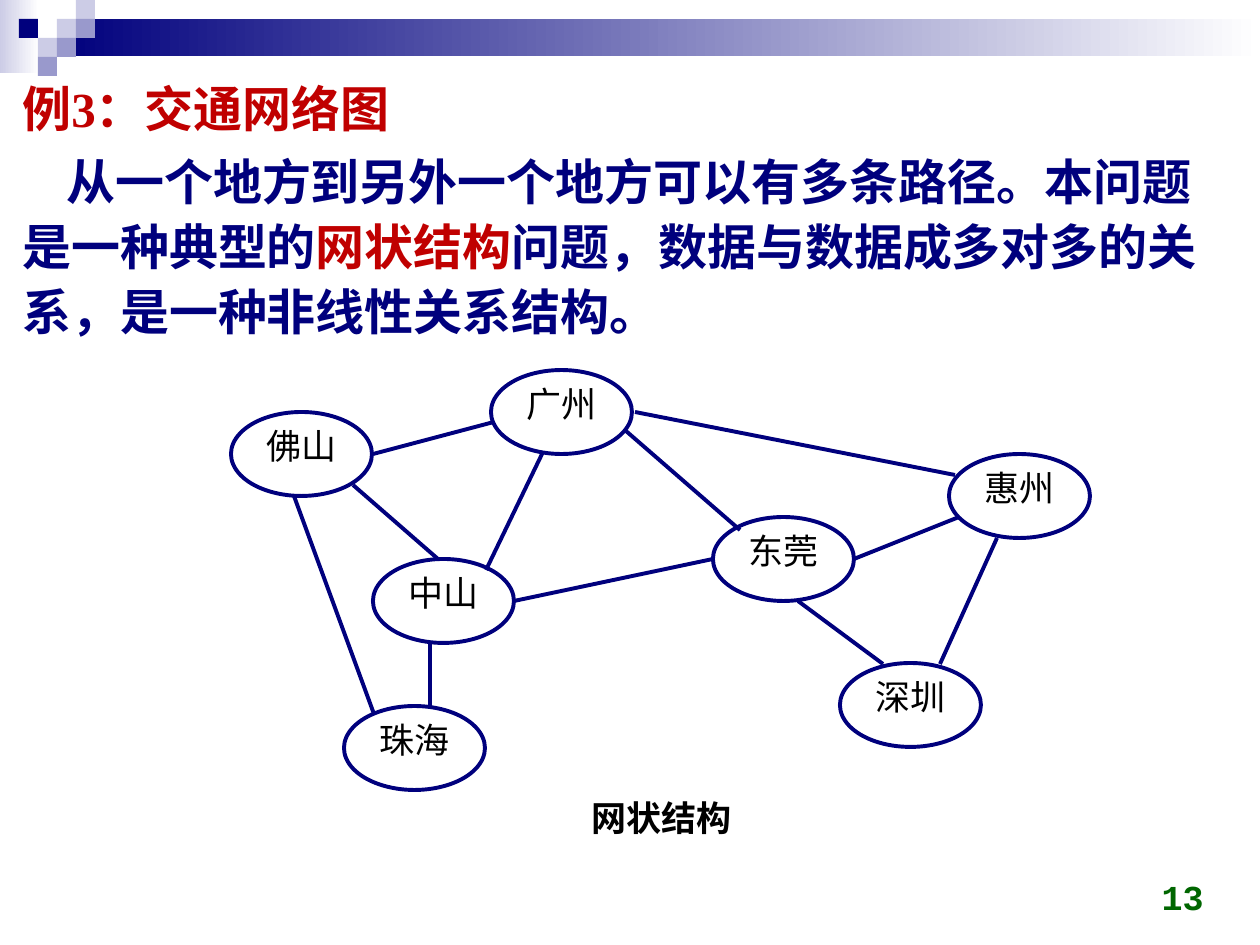
from lxml.etree import SubElement
from pptx import Presentation
from pptx.dml.color import RGBColor
from pptx.enum.shapes import MSO_CONNECTOR, MSO_SHAPE
from pptx.enum.text import MSO_ANCHOR, PP_ALIGN
from pptx.oxml.ns import qn
from pptx.util import Emu, Pt

EMU_PER_PX = 914400 / 126
NAVY, RED, GREEN = "00007D", "C00000", "006600"
LAVENDER, VIOLET = "CCCCE6", "9999CC"
BLACK, WHITE = "000000", "FFFFFF"
CJK_FONT = "Noto Sans CJK SC"


def px(length):
    return Emu(round(length * EMU_PER_PX))


def rgb(value):
    return RGBColor.from_string(value)


class SlideBuilder:
    line_width = Pt(2.25)

    def __init__(self, slide):
        self.slide = slide

    def style_run(self, run, size, font, color, bold=False):
        run.font.size = Pt(size)
        run.font.name = font
        run.font.bold = bold
        run.font.color.rgb = rgb(color)
        SubElement(run.font._element, qn("a:ea")).set("typeface", CJK_FONT)

    def shape(self, kind, box, fill=None, line=None):
        shape = self.slide.shapes.add_shape(kind, *map(px, box))
        shape.shadow.inherit = False
        if fill is None:
            shape.fill.background()
        elif isinstance(fill, tuple):
            shape.fill.gradient()
            shape.fill.gradient_angle = 0
            for stop, color in zip(shape.fill.gradient_stops, fill):
                stop.color.rgb = rgb(color)
        else:
            shape.fill.solid()
            shape.fill.fore_color.rgb = rgb(fill)
        if line is None:
            shape.line.fill.background()
        else:
            shape.line.color.rgb = rgb(line)
            shape.line.width = self.line_width
        return shape

    def label(self, shape, text, font, color=BLACK, bold=False,
              align=PP_ALIGN.CENTER, anchor=MSO_ANCHOR.MIDDLE):
        frame = shape.text_frame
        frame.word_wrap = True
        frame.vertical_anchor = anchor
        frame.text = text
        frame.paragraphs[0].alignment = align
        self.style_run(frame.paragraphs[0].runs[0], 20, font, color, bold)

    def city(self, name, left, top):
        ellipse = self.shape(MSO_SHAPE.OVAL, (left, top, 141, 84), line=NAVY)
        frame = ellipse.text_frame
        frame.margin_left = frame.margin_right = 0
        frame.margin_top = frame.margin_bottom = 0
        self.label(ellipse, name, "Arial", anchor=MSO_ANCHOR.TOP)

    def road(self, *ends):
        road = self.slide.shapes.add_connector(
            MSO_CONNECTOR.STRAIGHT, *map(px, ends))
        road.line.color.rgb = rgb(NAVY)
        road.line.width = self.line_width
        SubElement(road._element.spPr, qn("a:effectLst"))

    def text_box(self, box):
        text_box = self.slide.shapes.add_textbox(*map(px, box))
        text_box.text_frame.word_wrap = True
        return text_box

    def passage(self, box, paragraphs):
        """Each paragraph is (first-line indent, [(text, color), ...])."""
        frame = self.text_box(box).text_frame
        for index, (indent, pieces) in enumerate(paragraphs):
            paragraph = frame.add_paragraph() if index else frame.paragraphs[0]
            paragraph.line_spacing = 1.1
            paragraph.space_before = Pt(5.2)
            properties = paragraph._p.get_or_add_pPr()
            properties.set("marL", "0")
            properties.set("indent", str(px(indent)))
            for text, color in pieces:
                run = paragraph.add_run()
                run.text = text
                self.style_run(run, 28, "Times New Roman", color, True)


def main():
    presentation = Presentation()
    presentation.slide_width = px(1260)
    presentation.slide_height = px(945)
    builder = SlideBuilder(
        presentation.slides.add_slide(presentation.slide_layouts[6]))

    # Header band and its mosaic
    builder.shape(MSO_SHAPE.RECTANGLE, (0, 0, 39, 73), (LAVENDER, WHITE))
    builder.shape(MSO_SHAPE.RECTANGLE, (57, 19, 1203, 37), (NAVY, WHITE))
    tile = 19
    mosaic = [(3, 1, LAVENDER), (4, 0, LAVENDER), (4, 1, VIOLET),
              (2, 2, LAVENDER), (1, 1, NAVY), (3, 2, VIOLET), (2, 3, VIOLET)]
    for column, row, color in mosaic:
        builder.shape(MSO_SHAPE.RECTANGLE,
                      (column * tile, row * tile, tile, tile), color)

    # Heading and explanation
    builder.passage((10, 66, 1207, 297), [
        (0, [("例3：交通网络图", RED)]),
        (44, [("从一个地方到另外一个地方可以有多条路径。本问题是一种典型的", NAVY),
              ("网状结构", RED),
              ("问题，数据与数据成多对多的关系，是一种非线性关系结构。", NAVY)]),
    ])

    # Cities
    cities = {"佛山": (231, 412), "惠州": (949, 454), "广州": (491, 370),
              "中山": (373, 559), "东莞": (713, 517), "深圳": (840, 663),
              "珠海": (344, 706)}
    for name, corner in cities.items():
        builder.city(name, *corner)

    # Roads between them
    roads = [
        (430, 706, 430, 643),  # 珠海–中山
        (438, 559, 353, 485),  # 中山–佛山
        (713, 559, 514, 601),  # 东莞–中山
        (740, 530, 626, 431),  # 东莞–广州
        (883, 664, 798, 601),  # 深圳–东莞
        (940, 664, 997, 538),  # 深圳–惠州
        (955, 475, 635, 412),  # 惠州–广州
        (486, 570, 543, 452),  # 中山–广州
        (494, 422, 373, 454),  # 广州–佛山
        (959, 517, 854, 559),  # 惠州–东莞
        (374, 714, 294, 496),  # 珠海–佛山
    ]
    for road in roads:
        builder.road(*road)

    # Caption and page number
    caption = builder.shape(MSO_SHAPE.RECTANGLE, (494, 786, 336, 63), line=WHITE)
    builder.label(caption, "网状结构", CJK_FONT, bold=True)
    page_number = builder.text_box((922, 861, 294, 63))
    builder.label(page_number, "13", "Courier New", GREEN, True,
                  PP_ALIGN.RIGHT, MSO_ANCHOR.BOTTOM)

    presentation.save("out.pptx")


if __name__ == "__main__":
    main()
